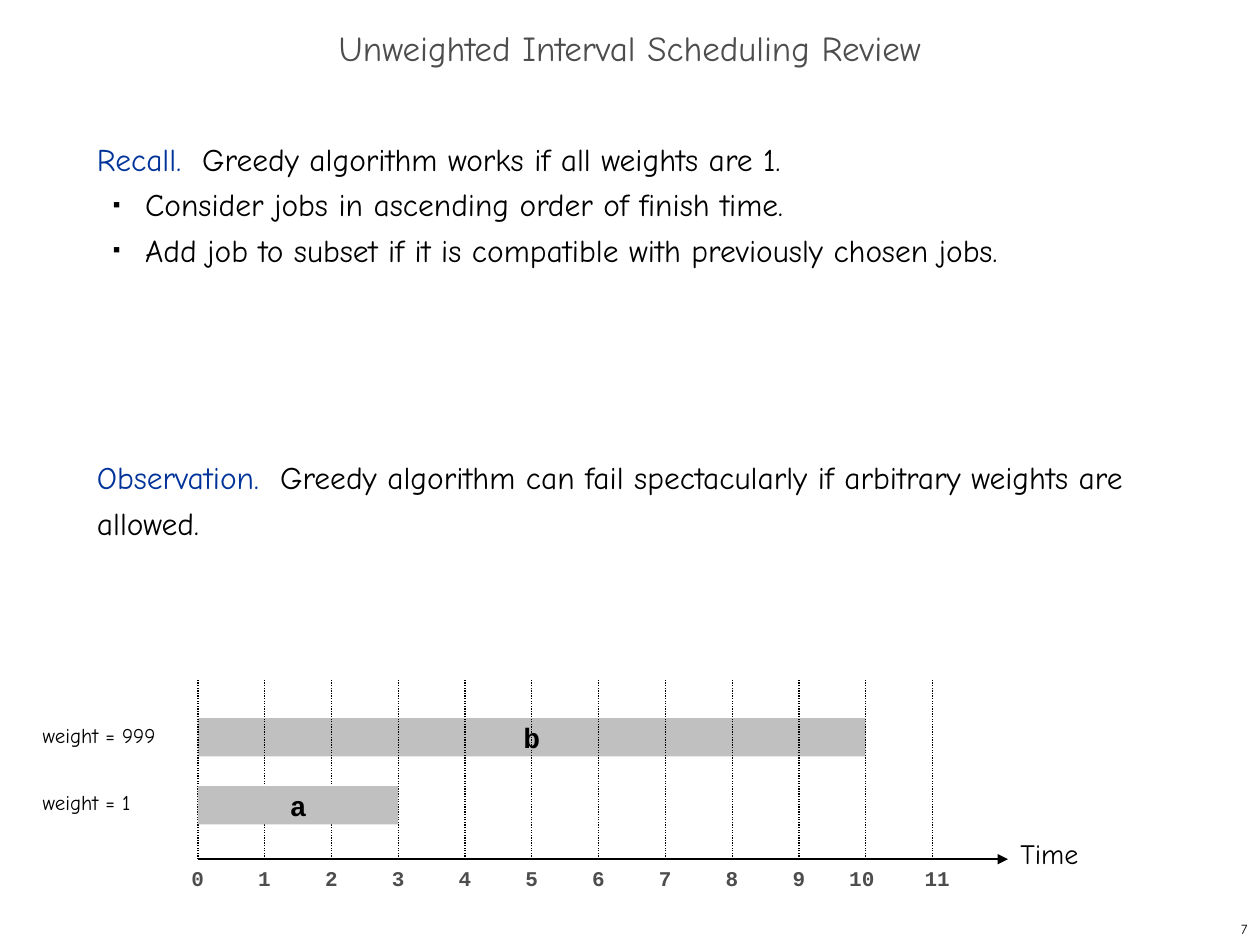
from lxml.etree import SubElement
from pptx import Presentation
from pptx.dml.color import RGBColor
from pptx.enum.dml import MSO_LINE
from pptx.enum.shapes import MSO_CONNECTOR, MSO_SHAPE
from pptx.enum.text import MSO_ANCHOR, MSO_AUTO_SIZE, PP_ALIGN
from pptx.oxml.ns import qn
from pptx.util import Cm, Pt

BODY_FONT = "Comic Neue"
CODE_FONT = "Courier New"
AXIS_LEFT = 3.99
AXIS_TOP = 17.32
GRID_TOP = 13.69
LAST_TICK = 11
STEP = (18.8 - AXIS_LEFT) / LAST_TICK
BAR_HEIGHT = 0.77
WIDE_LABEL_LEFTS = {10: 16.87, 11: 18.39}

TITLE_FORMAT = {"name": BODY_FONT, "size": Pt(20), "bold": False}
BODY_FORMAT = {"name": BODY_FONT, "size": Pt(18), "bold": False}
TIME_FORMAT = {"name": BODY_FONT, "size": Pt(16)}
WEIGHT_FORMAT = {"name": BODY_FONT, "size": Pt(12)}
NUMBER_FORMAT = {"name": BODY_FONT, "size": Pt(8)}
TICK_FORMAT = {"name": CODE_FONT, "size": Pt(12), "bold": True}
JOB_FORMAT = {"name": CODE_FONT, "size": Pt(16), "bold": True}


def set_color(color_format, value):
    color_format.rgb = RGBColor.from_string(value)


def set_attributes(target, values):
    for name, value in values.items():
        setattr(target, name, value)


def place(shape, left, top, width, height):
    set_attributes(shape, {"left": Cm(left), "top": Cm(top),
                           "width": Cm(width), "height": Cm(height)})


def add_run(paragraph, text, font_format, color="000000"):
    run = paragraph.add_run()
    run.text = text
    set_attributes(run.font, font_format)
    set_color(run.font.color, color)


def tick_x(time):
    return AXIS_LEFT + time * STEP


def fill_title(shape, text):
    place(shape, 0, 0.43, 25.4, 1.27)
    set_attributes(shape.text_frame, {"auto_size": MSO_AUTO_SIZE.NONE,
                                      "vertical_anchor": MSO_ANCHOR.MIDDLE})
    paragraph = shape.text_frame.paragraphs[0]
    set_attributes(paragraph, {"alignment": PP_ALIGN.CENTER, "line_spacing": 0.7})
    add_run(paragraph, text, TITLE_FORMAT, "4D4D4D")


def set_bullet(paragraph, character=None):
    properties = paragraph._p.get_or_add_pPr()
    properties.set("marL", str(Cm(0.97) if character else 0))
    properties.set("indent", str(-Cm(0.64) if character else 0))
    if not character:
        SubElement(properties, qn("a:buNone"))
        return
    color = SubElement(properties, qn("a:buClr"))
    SubElement(color, qn("a:srgbClr"), val="000000")
    SubElement(properties, qn("a:buSzPct"), val="35000")
    SubElement(properties, qn("a:buChar"), char=character)


def fill_body(shape, items):
    place(shape, 1.7, 2.54, 21.79, 15.04)
    frame = shape.text_frame
    frame.auto_size = MSO_AUTO_SIZE.NONE
    for index, (keyword, text, gap) in enumerate(items):
        paragraph = frame.add_paragraph() if index else frame.paragraphs[0]
        set_attributes(paragraph, {"level": 0 if keyword else 1,
                                   "line_spacing": Pt(26), "space_before": Pt(gap)})
        set_bullet(paragraph, None if keyword else "■")
        if keyword:
            add_run(paragraph, keyword + "  ", BODY_FORMAT, "003399")
        add_run(paragraph, text, BODY_FORMAT)


def add_label(slide, text, box, font_format, color="000000", wrap=True,
              alignment=PP_ALIGN.LEFT, anchor=MSO_ANCHOR.TOP):
    shape = slide.shapes.add_textbox(*map(Cm, box))
    set_attributes(shape.text_frame, {"word_wrap": wrap, "vertical_anchor": anchor})
    paragraph = shape.text_frame.paragraphs[0]
    paragraph.alignment = alignment
    add_run(paragraph, text, font_format, color)


def add_job(slide, name, top, finish):
    shape = slide.shapes.add_shape(MSO_SHAPE.RECTANGLE, Cm(AXIS_LEFT), Cm(top),
                                   Cm(finish * STEP), Cm(BAR_HEIGHT))
    shape.shadow.inherit = False
    shape.fill.solid()
    set_color(shape.fill.fore_color, "C0C0C0")
    shape.line.fill.background()
    set_attributes(shape.text_frame, {"word_wrap": False,
                                      "vertical_anchor": MSO_ANCHOR.MIDDLE})
    paragraph = shape.text_frame.paragraphs[0]
    paragraph.alignment = PP_ALIGN.CENTER
    add_run(paragraph, name, JOB_FORMAT)


def add_line(slide, start, end, width, dash=None, arrow=False):
    connector = slide.shapes.add_connector(MSO_CONNECTOR.STRAIGHT,
                                           *map(Cm, (*start, *end)))
    set_color(connector.line.color, "000000")
    set_attributes(connector.line, {"width": Pt(width), "dash_style": dash})
    if arrow:
        SubElement(connector.line._get_or_add_ln(), qn("a:tailEnd"), type="triangle")
    SubElement(connector._element.spPr, qn("a:effectLst"))


def add_axis(slide):
    add_line(slide, (AXIS_LEFT, AXIS_TOP), (20.32, AXIS_TOP), 1.25, arrow=True)
    add_label(slide, "Time", (20.32, 16.74, 2.12, 0.94), TIME_FORMAT)
    for time in range(LAST_TICK + 1):
        left = WIDE_LABEL_LEFTS.get(time, tick_x(time) - 0.38)
        add_label(slide, str(time), (left, AXIS_TOP, 1.14, 0.77), TICK_FORMAT, "4D4D4D")


def add_grid(slide):
    for time in range(LAST_TICK + 1):
        add_line(slide, (tick_x(time), AXIS_TOP), (tick_x(time), GRID_TOP), 0.75,
                 MSO_LINE.ROUND_DOT)


def main():
    presentation = Presentation()
    set_attributes(presentation, {"slide_width": Cm(25.4), "slide_height": Cm(19.05)})
    slide = presentation.slides.add_slide(presentation.slide_layouts[1])
    fill_title(slide.shapes.title, "Unweighted Interval Scheduling Review")
    fill_body(slide.placeholders[1], [
        ("Recall.", "Greedy algorithm works if all weights are 1.", 0),
        (None, "Consider jobs in ascending order of finish time.", 0),
        (None, "Add job to subset if it is compatible with previously chosen jobs.", 0),
        ("Observation.", "Greedy algorithm can fail spectacularly if arbitrary "
                         "weights are allowed.", 104),
    ])
    add_axis(slide)
    add_job(slide, "b", 14.48, 10)
    add_grid(slide)
    add_job(slide, "a", 15.85, 3)
    add_label(slide, "weight = 999", (0.61, 14.45, 3.07, 0.77), WEIGHT_FORMAT, wrap=False)
    add_label(slide, "weight = 1", (0.61, 15.8, 2.49, 0.77), WEIGHT_FORMAT, wrap=False)
    add_label(slide, "7", (20.12, 18.42, 5.28, 0.63), NUMBER_FORMAT, wrap=False,
              alignment=PP_ALIGN.RIGHT, anchor=MSO_ANCHOR.MIDDLE)
    presentation.save("out.pptx")


if __name__ == "__main__":
    main()
